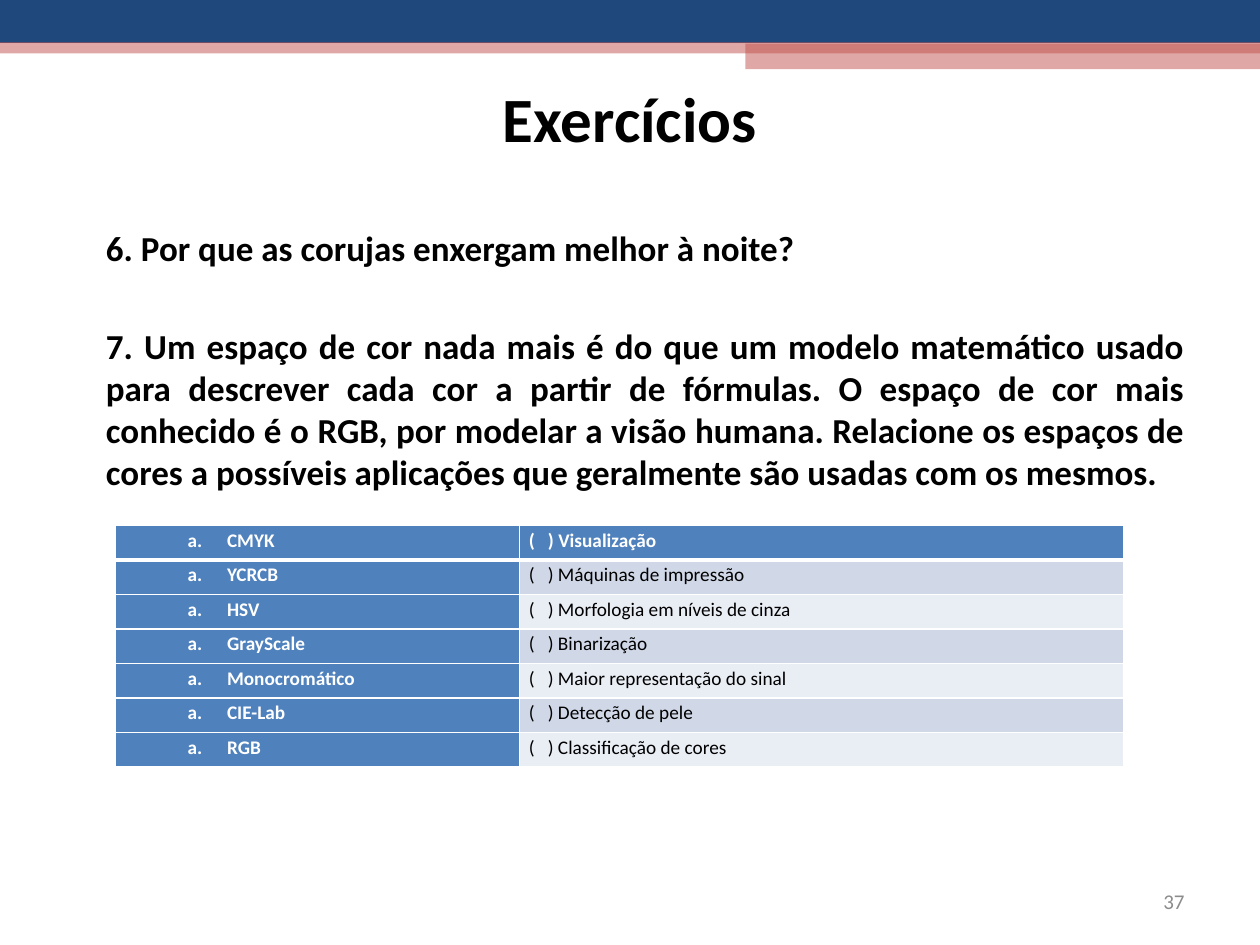
"""Build the "Exercícios" slide with its colour space matching table."""
from dataclasses import dataclass

import lxml.etree
import pptx
import pptx.dml.color
import pptx.enum.shapes
import pptx.enum.text
import pptx.oxml.ns
import pptx.util

Pt = pptx.util.Pt
ALIGN = pptx.enum.text.PP_ALIGN
ANCHOR = pptx.enum.text.MSO_ANCHOR
qn = pptx.oxml.ns.qn
FONT = "Calibri"
BLUE, RED, WHITE, BLACK = "4F81BD", "C0504D", "FFFFFF", "000000"
BANDS = ("E9EDF4", "D0D8E8")


@dataclass
class Box:
    left: float
    top: float
    width: float
    height: float

    def emu(self) -> tuple:
        return tuple(Pt(v) for v in (self.left, self.top, self.width, self.height))


@dataclass
class Bar:
    box: Box
    color: str
    opacity: int = 100


@dataclass
class Style:
    size: float
    color: str = BLACK
    bold: bool = True
    align: ALIGN = ALIGN.LEFT


@dataclass
class Pair:
    space: str
    use: str


BARS = [
    Bar(Box(0, 0, 720, 24.5), "1F497D"),
    Bar(Box(0, 24, 720, 6.5), RED, 50),
    Bar(Box(426, 25, 294, 14.5), RED, 50),
]
QUESTIONS = [
    "6. Por que as corujas enxergam melhor à noite?",
    "7. Um espaço de cor nada mais é do que um modelo matemático usado para descrever "
    "cada cor a partir de fórmulas. O espaço de cor mais conhecido é o RGB, por modelar "
    "a visão humana. Relacione os espaços de cores a possíveis aplicações que geralmente "
    "são usadas com os mesmos.",
]
PAIRS = [
    Pair("CMYK", "Visualização"),
    Pair("YCRCB", "Máquinas de impressão"),
    Pair("HSV", "Morfologia em níveis de cinza"),
    Pair("GrayScale", "Binarização"),
    Pair("Monocromático", "Maior representação do sinal"),
    Pair("CIE-Lab", "Detecção de pele"),
    Pair("RGB", "Classificação de cores"),
]


def rgb(color: str) -> pptx.dml.color.RGBColor:
    return pptx.dml.color.RGBColor.from_string(color)


def paint(fill, color: str) -> None:
    fill.solid()
    fill.fore_color.rgb = rgb(color)


def add_bar(s, bar: Bar) -> None:
    sp = s.shapes.add_shape(pptx.enum.shapes.MSO_SHAPE.RECTANGLE, *bar.box.emu())
    sp.shadow.inherit = False
    sp.line.fill.background()
    paint(sp.fill, bar.color)
    if bar.opacity < 100:
        clr = sp.fill._xPr.find(".//" + qn("a:srgbClr"))
        lxml.etree.SubElement(clr, qn("a:alpha"), val=str(bar.opacity * 1000))


def write(p, text: str, style: Style) -> None:
    p.alignment = style.align
    r = p.add_run()
    r.text = text
    r.font.name = FONT
    r.font.size = Pt(style.size)
    r.font.bold = style.bold
    r.font.color.rgb = rgb(style.color)


def add_text(s, box: Box, texts: list, style: Style, anchor: ANCHOR,
             indent: float = 0, gap: float = 0) -> None:
    tf = s.shapes.add_textbox(*box.emu()).text_frame
    tf.word_wrap = True
    tf.vertical_anchor = anchor
    for i, text in enumerate(texts):
        p = tf.add_paragraph() if i else tf.paragraphs[0]
        write(p, text, style)
        p._p.get_or_add_pPr().set("marL", str(Pt(indent)))
        if i:
            p.space_before = Pt(gap)


def set_borders(cell, widths: dict) -> None:
    tc_pr = cell._tc.get_or_add_tcPr()
    for side, width in widths.items():
        ln = lxml.etree.SubElement(tc_pr, qn(f"a:ln{side}"), w=str(Pt(width)))
        fill = lxml.etree.SubElement(ln, qn("a:solidFill"))
        lxml.etree.SubElement(fill, qn("a:srgbClr"), val=WHITE)


def number(p) -> None:
    p_pr = p._p.get_or_add_pPr()
    p_pr.set("marL", str(Pt(58.5)))
    p_pr.set("indent", str(Pt(-22.5)))
    lxml.etree.SubElement(p_pr, qn("a:buFont"), typeface="+mj-lt")
    lxml.etree.SubElement(p_pr, qn("a:buAutoNum"), type="alphaLcPeriod")


def fill_cell(cell, row: int, text: str, color: str, style: Style):
    set_borders(cell, {"L": 1, "R": 1, "T": 3 if row == 1 else 1, "B": 1 if row else 3})
    paint(cell.fill, color)
    cell.margin_left = cell.margin_right = Pt(5.25)
    cell.margin_top = cell.margin_bottom = 0
    p = cell.text_frame.paragraphs[0]
    p.line_spacing = 1.15
    write(p, text, style)
    return p


def add_pairs(s, box: Box, widths: tuple, pairs: list) -> None:
    table = s.shapes.add_table(len(pairs), len(widths), *box.emu()).table
    for col, width in zip(table.columns, widths):
        col.width = Pt(width)
    label = Style(11, WHITE)
    for i, pair in enumerate(pairs):
        table.rows[i].height = Pt(box.height / len(pairs))
        number(fill_cell(table.cell(i, 0), i, pair.space, BLUE, label))
        fill_cell(table.cell(i, 1), i, f"(   ) {pair.use}", BANDS[i % 2] if i else BLUE,
                  Style(11, bold=False) if i else label)


def main() -> None:
    prs = pptx.Presentation()
    prs.slide_width, prs.slide_height = Pt(720), Pt(540)
    s = prs.slides.add_slide(prs.slide_layouts[6])
    for bar in BARS:
        add_bar(s, bar)
    add_text(s, Box(36, 22, 648, 90), ["Exercícios"], Style(36, align=ALIGN.CENTER),
             ANCHOR.MIDDLE)
    add_text(s, Box(36, 126, 648, 356), QUESTIONS, Style(20, align=ALIGN.JUSTIFY),
             ANCHOR.TOP, indent=17.5, gap=32)
    add_text(s, Box(516, 500.5, 168, 28.75), ["37"],
             Style(12, "8C8C8C", False, ALIGN.RIGHT), ANCHOR.MIDDLE)
    add_pairs(s, Box(66, 300.25, 576, 138), (231, 345), PAIRS)
    prs.save("out.pptx")


if __name__ == "__main__":
    main()
